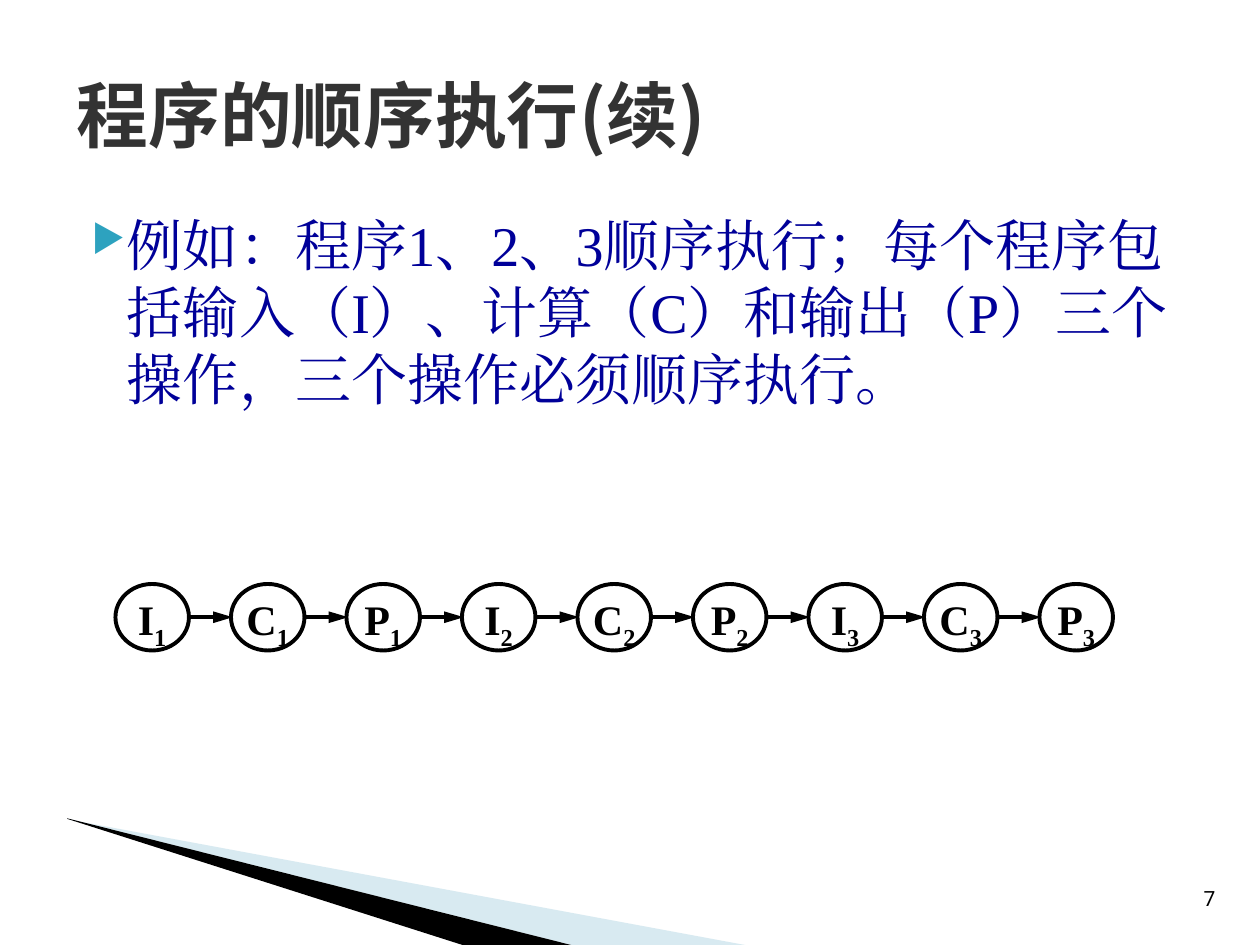
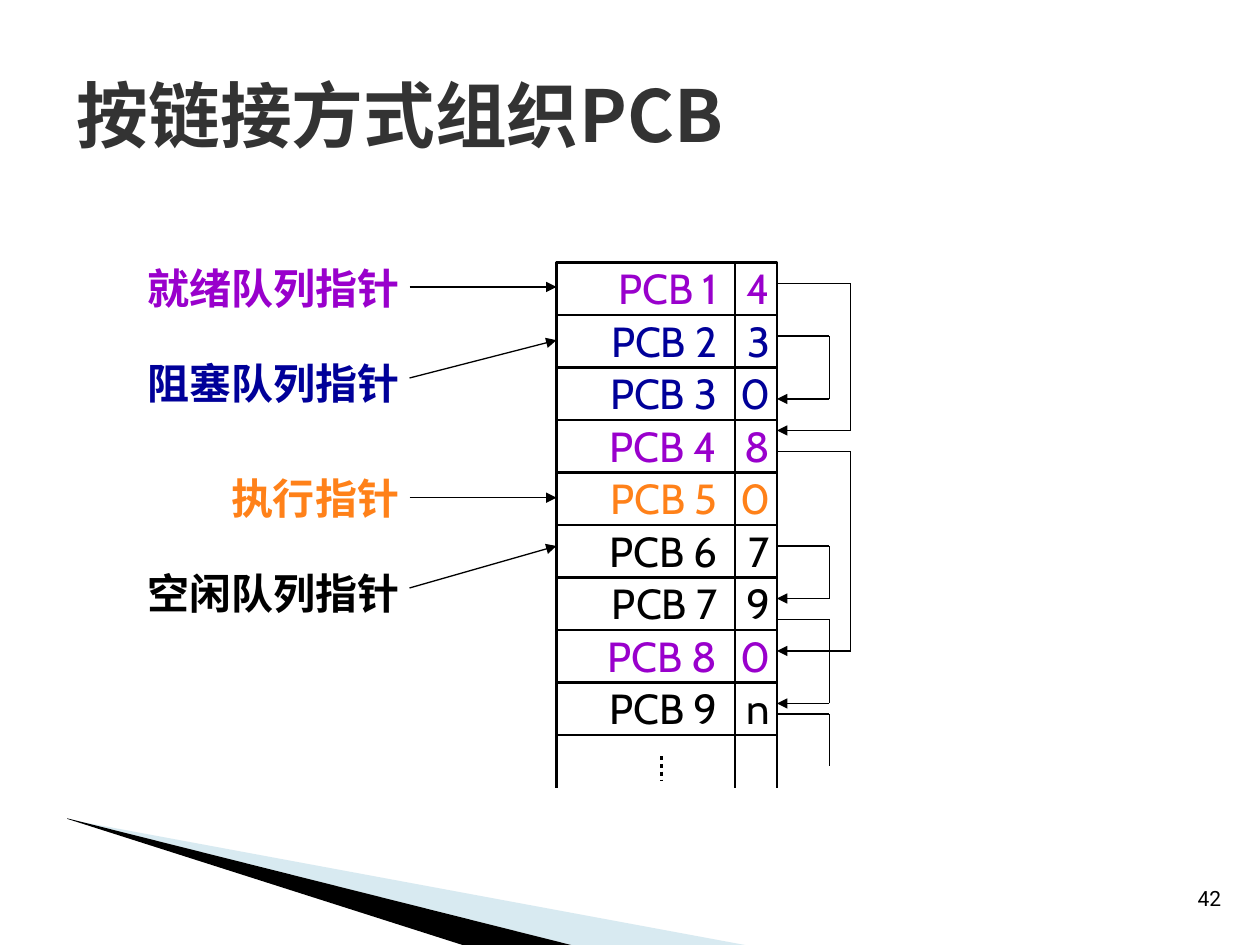
import pptx
import pptx.util
import pptx.dml.color
import pptx.enum.dml
import pptx.enum.shapes
import pptx.enum.text
import pptx.oxml.ns
from lxml import etree

Pt = pptx.util.Pt
RGB = pptx.dml.color.RGBColor
SHAPE = pptx.enum.shapes.MSO_SHAPE
ALIGN = pptx.enum.text.PP_ALIGN
ANCHOR = pptx.enum.text.MSO_ANCHOR
qn = pptx.oxml.ns.qn

BLACK = RGB(0x00, 0x00, 0x00)
WHITE = RGB(0xFF, 0xFF, 0xFF)
TITLE_GREY = RGB(0x33, 0x33, 0x33)
NAVY = RGB(0x00, 0x00, 0x99)
PURPLE = RGB(0x99, 0x00, 0xCC)
ORANGE = RGB(0xFF, 0x81, 0x19)
PALE_BLUE = RGB(0x9F, 0xCB, 0xDC)
BULLET_TEAL = "2DA2BF"

TITLE_FONT = "Noto Sans CJK SC"
NUMBER_FONT = "Roboto"
BODY_FONT = "Times New Roman"
DIAGRAM_FONT = "Cabin"

# Slide 1
SEQUENCE_TITLE = "程序的顺序执行(续)"
SEQUENCE_BODY = ("例如：程序1、2、3顺序执行；每个程序包括输入（I）、计算（C）"
                 "和输出（P）三个操作，三个操作必须顺序执行。")
STEPS = [(step, program) for program in "123" for step in "ICP"]

# Slide 2
LINKED_TITLE = "按链接方式组织PCB"
PCB_ROWS = [  # name, link to the next block, queue colour
    ("PCB 1", "4", PURPLE), ("PCB 2", "3", NAVY), ("PCB 3", "0", NAVY),
    ("PCB 4", "8", PURPLE), ("PCB 5", "0", ORANGE), ("PCB 6", "7", BLACK),
    ("PCB 7", "9", BLACK), ("PCB 8", "0", PURPLE), ("PCB 9", "n", BLACK),
]
POINTERS = [  # label, colour, label top, arrow start y, arrow end y
    ("就绪队列指针", PURPLE, 150, 164, 164),
    ("阻塞队列指针", NAVY, 204, 216, 194.4),
    ("执行指针", ORANGE, 270, 284.4, 284.4),
    ("空闲队列指针", BLACK, 324, 336, 312),
]
INNER_RAIL, OUTER_RAIL = 474, 486
LINKS = [  # start y, rail x, end y
    (162, OUTER_RAIL, 246), (192, INNER_RAIL, 228), (258, OUTER_RAIL, 372),
    (312, INNER_RAIL, 342), (354, INNER_RAIL, 402),
]
OPEN_LINK = (408, INNER_RAIL, 438)

# Corner decoration
PALE_WEDGE = [(39.6, 468.4), (428.4, 540.5), (328.4, 540.5), (39.6, 468)]
BLACK_WEDGE = [(38.3, 467.6), (329, 540.7), (268, 541.2), (38.6, 468)]


def add_run(p, text, font, size, color, bold=False):
    r = p.add_run()
    r.text = text
    r.font.name, r.font.size, r.font.bold = font, Pt(size), bold
    r.font.color.rgb = color
    etree.SubElement(r.font._element, qn("a:ea"), typeface=font)
    return r


def add_text(s, x, y, w, h, inset=True):
    """Add an empty wrapping text box and return its text frame."""
    tf = s.shapes.add_textbox(Pt(x), Pt(y), Pt(w), Pt(h)).text_frame
    tf.word_wrap = True
    if not inset:
        clear_insets(tf)
    return tf


def clear_insets(tf):
    tf.margin_left = tf.margin_top = tf.margin_right = tf.margin_bottom = 0


def add_line(s, start, end, width=0.75, head=None):
    """head is the arrowhead length at the end: 'med', 'lg' or None."""
    line = s.shapes.add_connector(pptx.enum.shapes.MSO_CONNECTOR.STRAIGHT,
                                  *(Pt(v) for v in (*start, *end)))
    line.line.color.rgb = BLACK
    line.line.width = Pt(width)
    if head:
        etree.SubElement(line.line._get_or_add_ln(), qn("a:tailEnd"),
                         type="triangle", w="med", len=head)
    etree.SubElement(line._element.spPr, qn("a:effectLst"))
    return line


def add_outlined(s, kind, x, y, w, h, width, fill=None):
    sp = s.shapes.add_shape(kind, Pt(x), Pt(y), Pt(w), Pt(h))
    sp.shadow.inherit = False
    if fill is None:
        sp.fill.background()
    else:
        sp.fill.solid()
        sp.fill.fore_color.rgb = fill
    sp.line.color.rgb = BLACK
    sp.line.width = Pt(width)
    return sp


def add_wedge(s, points, color, opacity=100):
    (x, y), *rest = [(Pt(a), Pt(b)) for a, b in points]
    builder = s.shapes.build_freeform(x, y)
    builder.add_line_segments(rest)
    sp = builder.convert_to_shape()
    sp.shadow.inherit = False
    sp.fill.solid()
    sp.fill.fore_color.rgb = color
    sp.line.fill.background()
    if opacity < 100:
        clr = sp._element.spPr.find(".//" + qn("a:srgbClr"))
        etree.SubElement(clr, qn("a:alpha"), val=str(opacity * 1000))


def add_base_slide(prs, title, number):
    """Add a slide with the corner wedges, page number and title."""
    s = prs.slides.add_slide(prs.slide_layouts[6])
    add_wedge(s, PALE_WEDGE, PALE_BLUE, 40)
    add_wedge(s, BLACK_WEDGE, BLACK)
    tf = add_text(s, 676.8, 502.6, 28.8, 21.6)
    tf.word_wrap = False
    tf.auto_size = pptx.enum.text.MSO_AUTO_SIZE.SHAPE_TO_FIT_TEXT
    tf.vertical_anchor = ANCHOR.MIDDLE
    p = tf.paragraphs[0]
    p.alignment = ALIGN.CENTER
    add_run(p, str(number), NUMBER_FONT, 12, BLACK)
    tf = add_text(s, 36.7, 20.2, 648, 90)
    tf.vertical_anchor = ANCHOR.MIDDLE
    add_run(tf.paragraphs[0], title, TITLE_FONT, 41, TITLE_GREY, True)
    return s


def add_bullet(p):
    pPr = p._p.get_or_add_pPr()
    pPr.set("marL", str(Pt(28.8)))
    pPr.set("indent", str(Pt(-20.2)))
    clr = etree.SubElement(pPr, qn("a:buClr"))
    etree.SubElement(clr, qn("a:srgbClr"), val=BULLET_TEAL)
    etree.SubElement(pPr, qn("a:buSzPct"), val="68000")
    etree.SubElement(pPr, qn("a:buChar"), char="▶")


def add_right_tabs(p, positions):
    tabs = etree.SubElement(p._p.get_or_add_pPr(), qn("a:tabLst"))
    for position in positions:
        etree.SubElement(tabs, qn("a:tab"), pos=str(Pt(position)), algn="r")


def build_sequence_slide(prs):
    s = add_base_slide(prs, SEQUENCE_TITLE, 7)
    p = add_text(s, 36.7, 116.6, 648, 198.7).paragraphs[0]
    add_bullet(p)
    add_run(p, SEQUENCE_BODY, BODY_FONT, 32, NAVY)

    left, pitch, top, width, height = 66, 66, 333.7, 42, 38
    for i, (step, program) in enumerate(STEPS):
        sp = add_outlined(s, SHAPE.OVAL, left + i * pitch, top, width, height,
                          2.25, WHITE)
        tf = sp.text_frame
        clear_insets(tf)
        tf.vertical_anchor = ANCHOR.TOP
        p = tf.paragraphs[0]
        p.alignment = ALIGN.CENTER
        add_run(p, step, BODY_FONT, 24, BLACK, True)
        r = add_run(p, program, BODY_FONT, 24, BLACK, True)
        r.font._element.set("baseline", "-25000")
    y = top + height / 2
    for i in range(len(STEPS) - 1):
        x = left + i * pitch
        add_line(s, (x + width, y), (x + pitch + 1, y), 2.25, "lg")


def build_linked_slide(prs):
    s = add_base_slide(prs, LINKED_TITLE, 42)
    left, divider, right, top, row = 318, 420, 444, 150, 30
    for i, (name, link, color) in enumerate(PCB_ROWS):
        y = top + i * row
        add_outlined(s, SHAPE.RECTANGLE, left, y, right - left, row, 1.5)
        add_line(s, (divider, y), (divider, y + row))
        p = add_text(s, left + 8, y, 118, 24, inset=False).paragraphs[0]
        add_right_tabs(p, (84, 114))
        add_run(p, f"\t{name}\t{link}", DIAGRAM_FONT, 24, color)

    bottom = top + len(PCB_ROWS) * row
    for x, width in ((left, 1.5), (divider, 0.75), (right, 1.5)):
        add_line(s, (x, bottom), (x, bottom + row), width)
    dots = add_line(s, (378, 432), (378, 446.4), 2.25)
    dots.line.dash_style = pptx.enum.dml.MSO_LINE.ROUND_DOT

    for start, rail, end in LINKS + [OPEN_LINK]:
        add_line(s, (right, start), (rail, start))
        add_line(s, (rail, start), (rail, end))
    for start, rail, end in LINKS:
        add_line(s, (rail, end), (right, end), head="med")

    for label, color, y, start, end in POINTERS:
        add_line(s, (234, start), (left, end), head="med")
        width = 28 * len(label)
        p = add_text(s, 228 - width, y, width, 24, inset=False).paragraphs[0]
        p.alignment = ALIGN.RIGHT
        add_run(p, label, DIAGRAM_FONT, 24, color, True)


def main():
    prs = pptx.Presentation()
    prs.slide_width, prs.slide_height = Pt(720), Pt(540)
    build_sequence_slide(prs)
    build_linked_slide(prs)
    prs.save("out.pptx")


if __name__ == "__main__":
    main()
